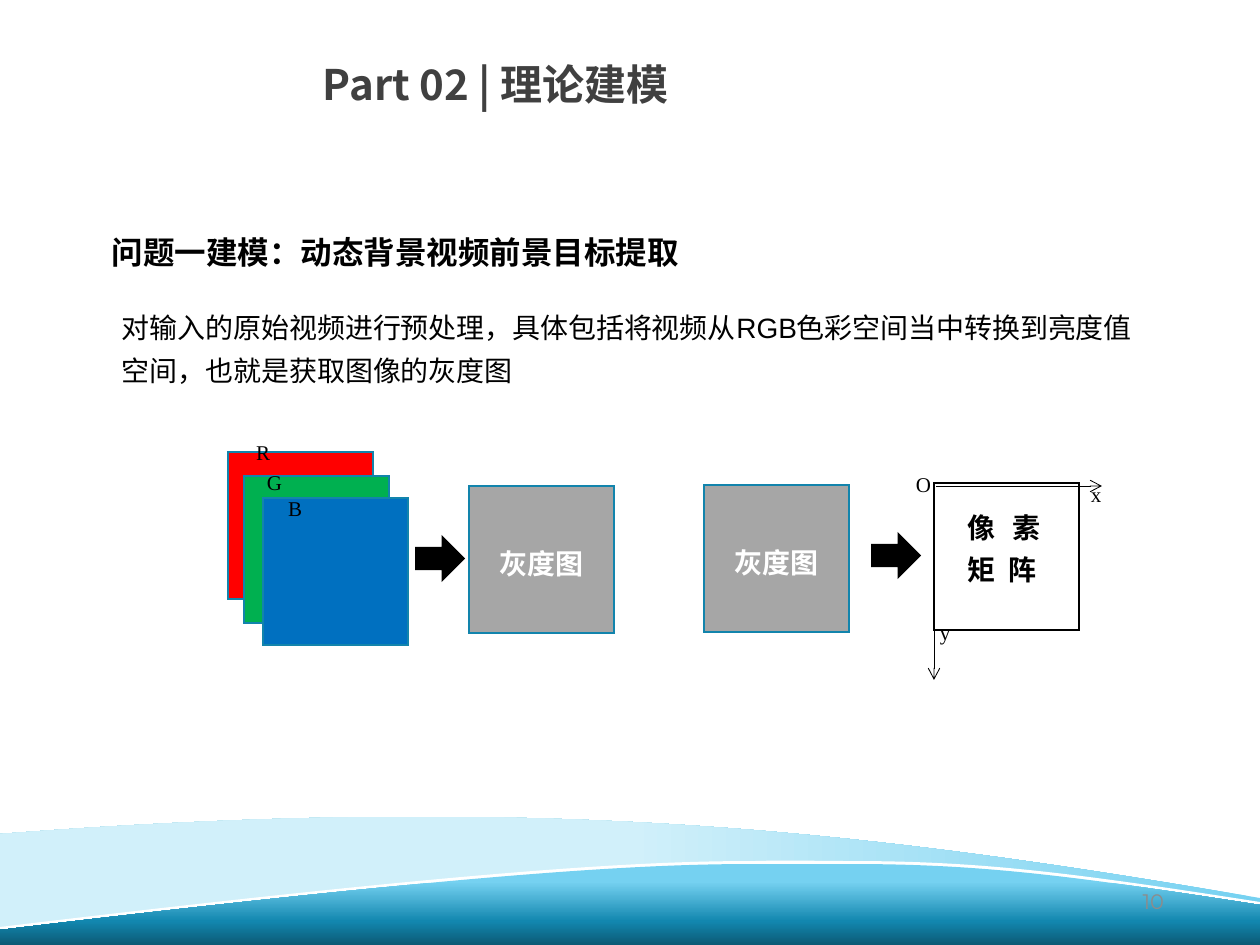
from lxml.etree import SubElement
from pptx import Presentation
from pptx.dml.color import RGBColor
from pptx.enum.shapes import MSO_CONNECTOR, MSO_SHAPE
from pptx.enum.text import MSO_ANCHOR, MSO_AUTO_SIZE, PP_ALIGN
from pptx.oxml.ns import qn
from pptx.util import Pt

PX = 914400 / 126
BLACK = RGBColor(0, 0, 0)
WHITE = RGBColor(255, 255, 255)
RED = RGBColor(255, 0, 0)
GREEN = RGBColor(0, 176, 80)
BLUE = RGBColor(0, 112, 192)
GRAY = RGBColor(166, 166, 166)
TEAL = RGBColor(18, 132, 172)
TITLE = RGBColor(64, 64, 64)
NUMBER = RGBColor(140, 140, 140)
SKY = RGBColor(117, 209, 241)
PALE = RGBColor(209, 240, 250)
SEA = RGBColor(18, 135, 175)
DEEP = RGBColor(12, 90, 117)

SERIF = "Times New Roman"
CJK = "Noto Sans CJK SC"
SLIM = (9, 5)
ROOMY = (13, 6)

CREST = [(0, 927), (490, 868), (650, 861), (755, 861), (789, 860), (818, 861),
         (850, 861), (979, 861), (1068, 872), (1260, 902)]
SWELL = [(0, 834), (559, 791), (882, 834), (1260, 898), (1260, 927), (1260, 893),
         (1260, 924), (824, 808), (457, 905), (0, 934)]

SQUARE = (145, 147)
SQUARES = [
    (228, 452, RED, TEAL, ""),
    (244, 476, GREEN, TEAL, ""),
    (263, 498, BLUE, TEAL, ""),
    (469, 486, GRAY, TEAL, "灰度图"),
    (704, 485, GRAY, TEAL, "灰度图"),
    (934, 483, None, BLACK, ""),
]
BLOCK_ARROWS = [(416, 537), (872, 534)]
AXES = [((934, 489), (934, 680)), ((936, 486), (1102, 486))]
LABELS = [
    ("R", 243, 427, 45, 69),
    ("G", 254, 457, 45, 66),
    ("B", 275, 483, 45, 66),
    ("y", 927, 607, 42, 84),
    ("x", 1078, 469, 34, 66),
    ("O", 903, 459, 42, 58),
]

HEADING = "Part 02 | 理论建模"
TEXTS = [
    ("10", (890, 876, 283, 50), {"size": 12, "name": "Montserrat", "color": NUMBER},
     {"alignment": PP_ALIGN.RIGHT}, {"anchor": MSO_ANCHOR.MIDDLE, "inset": SLIM}),
    ("问题一建模：动态背景视频前景目标提取", (99, 227, 592, 50),
     {"size": 18, "name": CJK, "bold": True}, {}, {"wrap": False}),
    ("对输入的原始视频进行预处理，具体包括将视频从RGB色彩空间当中转换到亮度值空间，也就是获取图像的灰度图",
     (109, 294, 1042, 101), {"size": 16, "name": "Arial"}, {"line_spacing": 1.3}, {}),
    ("像素矩  阵", (955, 496, 98, 123), {"size": 16, "name": SERIF, "bold": True},
     {"alignment": PP_ALIGN.JUSTIFY, "line_spacing": 1.25}, {}),
]


def emu(*values):
    return [round(v * PX) for v in values]


def assign(obj, values):
    for key, value in values.items():
        setattr(obj, key, value)


def write(sp, text, font, para, anchor=MSO_ANCHOR.TOP, inset=ROOMY, wrap=True):
    tf = sp.text_frame
    mx, my = emu(*inset)
    assign(tf, {"auto_size": MSO_AUTO_SIZE.NONE, "word_wrap": wrap, "vertical_anchor": anchor,
                "margin_left": mx, "margin_right": mx, "margin_top": my, "margin_bottom": my})
    p = tf.paragraphs[0]
    assign(p, {"alignment": PP_ALIGN.LEFT, **para})
    r = p.add_run()
    r.text = text
    assign(r.font, {"name": font["name"], "size": Pt(font["size"]), "bold": font.get("bold", False)})
    r.font.color.rgb = font.get("color", BLACK)
    SubElement(r.font._element, qn("a:ea"), typeface=CJK)


def paint(sp, fill, line=None):
    sp.shadow.inherit = False
    if fill is None:
        sp.fill.background()
    else:
        sp.fill.solid()
        sp.fill.fore_color.rgb = fill
    if line is None:
        sp.line.fill.background()
    else:
        sp.line.color.rgb = line
        sp.line.width = Pt(1)
        SubElement(sp.line._get_or_add_ln(), qn("a:miter"), lim="800000")


def gradient(sp, stops, angle):
    sp.fill.gradient()
    grad = sp._element.spPr.find(qn("a:gradFill"))
    for child in list(grad):
        grad.remove(child)
    gs_list = SubElement(grad, qn("a:gsLst"))
    for pos, color in stops:
        gs = SubElement(gs_list, qn("a:gs"), pos=str(pos * 1000))
        SubElement(gs, qn("a:srgbClr"), val=str(color))
    SubElement(grad, qn("a:lin"), ang=str(angle * 60000), scaled="0")


def lower(points, dy):
    return [(x, y + dy) for x, y in points]


def curves(knots):
    return [("cubicBezTo", knots[i:i + 3]) for i in range(1, len(knots), 3)]


def wave(shapes, top, bottom, start, steps, fill=None):
    corners = [emu(*c) for c in ((0, top), (1260, top), (1260, bottom), (0, bottom))]
    builder = shapes.build_freeform(*corners[0], scale=1.0)
    builder.add_line_segments(corners[1:], close=True)
    sp = builder.convert_to_shape()
    outline = next(sp._element.iter(qn("a:moveTo"))).getparent()
    for child in list(outline):
        outline.remove(child)
    for tag, points in [("moveTo", [start]), *steps]:
        step = SubElement(outline, qn("a:" + tag))
        for x, y in points:
            px, py = emu(x, y - top)
            SubElement(step, qn("a:pt"), x=str(px), y=str(py))
    SubElement(outline, qn("a:close"))
    paint(sp, fill)
    return sp


def axis(shapes, start, end):
    line = shapes.add_connector(MSO_CONNECTOR.STRAIGHT, *emu(*start, *end))
    line.line.color.rgb = BLACK
    line.line.width = Pt(0.5)
    SubElement(line.line._get_or_add_ln(), qn("a:tailEnd"), type="arrow")
    SubElement(line._element.spPr, qn("a:effectLst"))


def main():
    prs = Presentation()
    prs.slide_width, prs.slide_height = emu(1260, 945)
    slide = prs.slides.add_slide(prs.slide_layouts[5])
    shapes = slide.shapes

    title = shapes.title
    title.left, title.top, title.width, title.height = emu(314, 38, 378, 76)
    write(title, HEADING, {"size": 24, "name": CJK, "bold": True, "color": TITLE},
          {"line_spacing": 1.3}, inset=SLIM, wrap=False)

    swell = wave(shapes, 816, 934, SWELL[0], curves(SWELL))
    gradient(swell, [(0, SKY), (50, PALE), (100, PALE)], 180)
    back = lower(CREST, 13)[::-1]
    wave(shapes, 861, 940, CREST[0], curves(CREST) + [("lnTo", back[:1])] + curves(back), WHITE)
    surface = lower(CREST, 3)
    floor = [("lnTo", [corner]) for corner in ((1260, 945), (0, 945))]
    water = wave(shapes, 863, 945, surface[0], curves(surface) + floor)
    gradient(water, [(23, SKY), (71, SEA), (100, DEEP)], 90)

    for x, y, fill, line, text in SQUARES:
        sp = shapes.add_shape(MSO_SHAPE.RECTANGLE, *emu(x, y, *SQUARE))
        paint(sp, fill, line)
        if text:
            write(sp, text, {"size": 16, "name": SERIF, "bold": True, "color": WHITE},
                  {"alignment": PP_ALIGN.CENTER, "line_spacing": 1.25}, MSO_ANCHOR.MIDDLE)

    for x, y in BLOCK_ARROWS:
        sp = shapes.add_shape(MSO_SHAPE.RIGHT_ARROW, *emu(x, y, 48, 43))
        paint(sp, BLACK, BLACK)

    for start, end in AXES:
        axis(shapes, start, end)

    labels = [(text, box, {"size": 12, "name": SERIF},
               {"alignment": PP_ALIGN.JUSTIFY, "line_spacing": 1.25}, {})
              for text, *box in LABELS]
    for text, box, font, para, frame in labels + TEXTS:
        write(shapes.add_textbox(*emu(*box)), text, font, para, **frame)

    prs.save("out.pptx")


if __name__ == "__main__":
    main()
